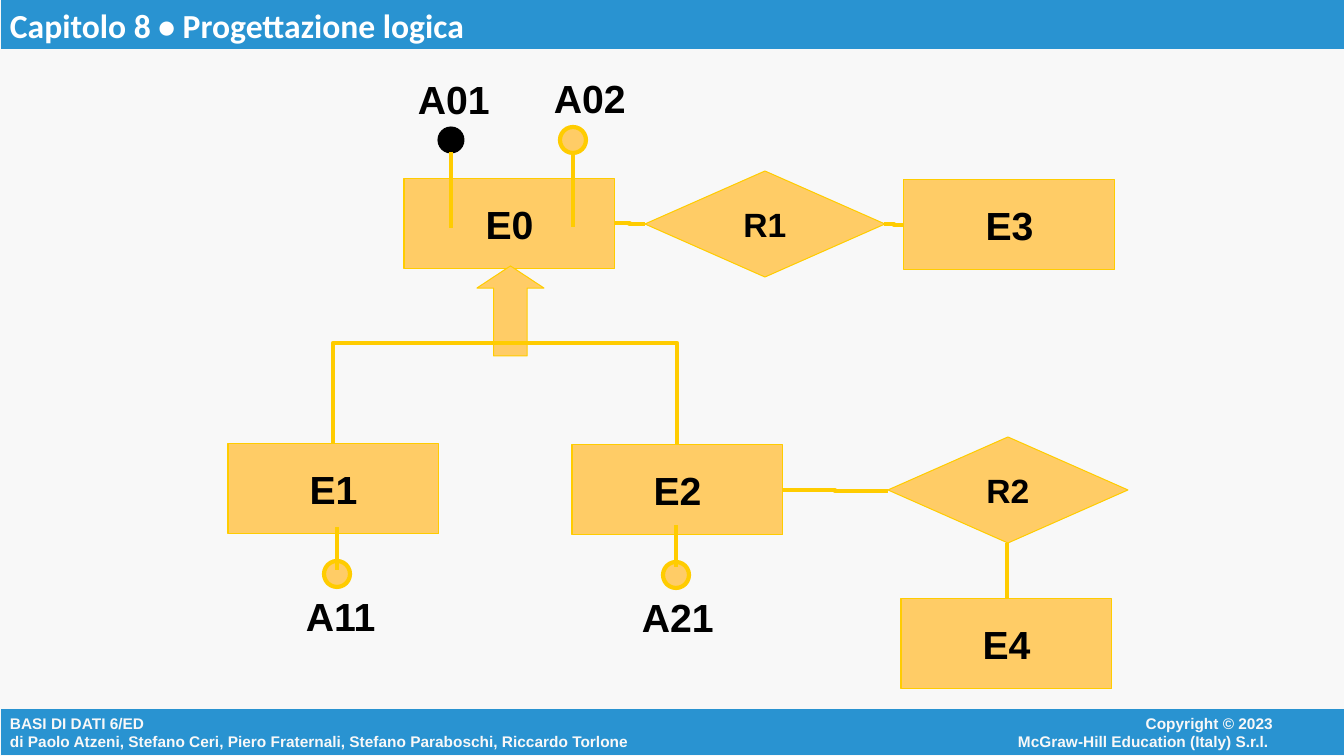
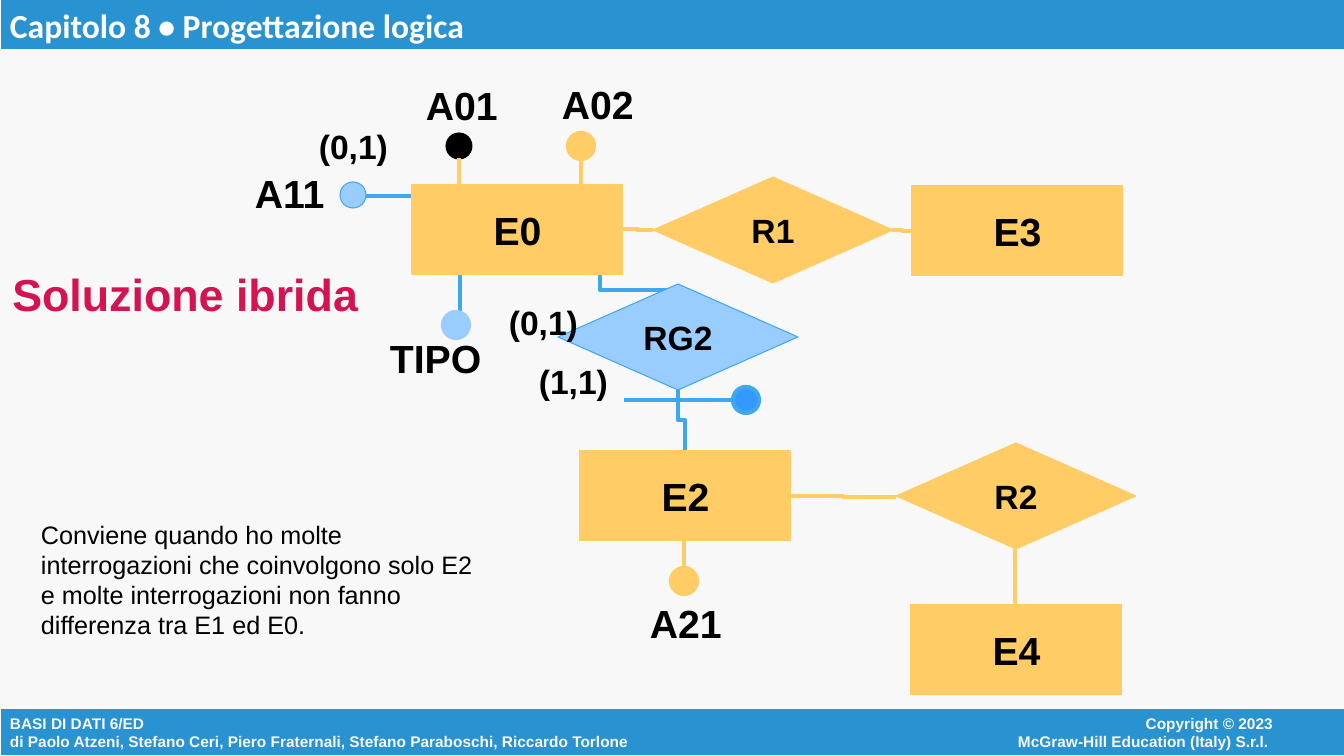
import pptx
import pptx.dml.color
import pptx.enum.shapes
import pptx.enum.text
import pptx.oxml.ns
import pptx.util
from lxml import etree

RGB = pptx.dml.color.RGBColor
SHAPE = pptx.enum.shapes.MSO_SHAPE
CONNECTOR = pptx.enum.shapes.MSO_CONNECTOR
ALIGN = pptx.enum.text.PP_ALIGN
ANCHOR = pptx.enum.text.MSO_ANCHOR

PX = 9071  # EMU in one px; the slide is 1344 px wide
BAND = RGB(0x29, 0x93, 0xD1)
PALE = RGB(0xF8, 0xF8, 0xF8)
WHITE = RGB(0xFF, 0xFF, 0xFF)
BLACK = RGB(0, 0, 0)
ORANGE = RGB(0xFF, 0xCC, 0x66)
YELLOW = RGB(0xFF, 0xCC, 0x00)
SKY = RGB(0x99, 0xCC, 0xFF)
BLUE = RGB(0x3E, 0xA7, 0xEE)
DEEP_BLUE = RGB(0x33, 0x99, 0xFF)
CRIMSON = RGB(0xD4, 0x14, 0x50)


def write(sp, text, size=28, color=BLACK, bold=True, font="Arial",
          align=ALIGN.LEFT, anchor=ANCHOR.TOP, wrap=False):
    tf = sp.text_frame
    tf.word_wrap = wrap
    tf.auto_size = pptx.enum.text.MSO_AUTO_SIZE.NONE
    tf.vertical_anchor = anchor
    for i, part in enumerate(text.split("\n")):
        p = tf.paragraphs[0] if i == 0 else tf.add_paragraph()
        p.alignment = align
        r = p.add_run()
        r.text = part
        r.font.name, r.font.size = font, pptx.util.Pt(size)
        r.font.bold, r.font.color.rgb = bold, color


def connect(s, kind, x1, y1, x2, y2, color, bend=None):
    """Draw a line; with bend, an elbow that leaves downwards and turns bend px below its start."""
    c = s.shapes.add_connector(kind, x1 * PX, y1 * PX, x2 * PX, y2 * PX)
    c.line.color.rgb = color
    c.line.width = pptx.util.Pt(3)
    sp_pr = c.element.spPr
    etree.SubElement(sp_pr, pptx.oxml.ns.qn("a:effectLst"))
    if bend is not None:
        w, h = y2 - y1, x2 - x1
        c.left, c.top = int((x1 + x2 - w) * PX / 2), int((y1 + y2 - h) * PX / 2)
        c.width, c.height = w * PX, h * PX
        xfrm = sp_pr.find(pptx.oxml.ns.qn("a:xfrm"))
        xfrm.set("rot", "16200000")
        xfrm.set("flipH", "1")
        guides = sp_pr.find(pptx.oxml.ns.qn("a:prstGeom")).get_or_add_avLst()
        etree.SubElement(guides, pptx.oxml.ns.qn("a:gd"), name="adj1",
                         fmla=f"val {round(bend / w * 100000)}")


prs = pptx.Presentation()
prs.slide_width, prs.slide_height = pptx.util.Inches(13.333), pptx.util.Inches(7.5)
s1 = prs.slides.add_slide(prs.slide_layouts[6])
s2 = prs.slides.add_slide(prs.slide_layouts[5])

# Background and bands, drawn once and moved to the master
master = prs.slide_master
master.background.fill.solid()
master.background.fill.fore_color.rgb = PALE
footer_style = dict(size=11, color=PALE)
bands = [
    (0, 709, 1346, 47, BAND, 0.75,
     "BASI DI DATI 6/ED\ndi Paolo Atzeni, Stefano Ceri, Piero Fraternali, "
     "Stefano Paraboschi, Riccardo Torlone", dict(footer_style, anchor=ANCHOR.MIDDLE)),
    (896, 709, 387, 46, None, 0,
     "Copyright © 2023\nMcGraw-Hill Education (Italy) S.r.l. ",
     dict(footer_style, align=ALIGN.RIGHT, wrap=True)),
    (0, 0, 1346, 50, BAND, 0, "Capitolo 8 • Progettazione logica",
     dict(size=24, color=WHITE, font="Calibri", wrap=True)),
]
for i, (x, y, w, h, fill, border, text, style) in enumerate(bands):
    box = [v * PX for v in (x, y, w, h)]
    if fill is None:
        sp = s1.shapes.add_textbox(*box)
    else:
        sp = s1.shapes.add_shape(SHAPE.RECTANGLE, *box)
        sp.shadow.inherit = False
        sp.fill.solid()
        sp.fill.fore_color.rgb = fill
        sp.line.color.rgb = PALE
        sp.line.width = pptx.util.Pt(border)
    write(sp, text, **style)
    sp.element.nvSpPr.cNvPr.set("id", str(100 + i))
    master.shapes.element.append(sp.element)

# Title of the second slide
title = s2.shapes.title
title.left, title.top, title.width, title.height = [v * PX for v in (-24, 274, 419, 39)]
write(title, "Soluzione ibrida", size=32, color=CRIMSON, align=ALIGN.CENTER, anchor=ANCHOR.MIDDLE)

# Kinds of node: shape, width, height, text size
KINDS = {
    "entity": (SHAPE.RECTANGLE, 211, 90, 28),
    "relation": (SHAPE.DIAMOND, 240, 106, 24),
    "dot": (SHAPE.OVAL, 26, 26, 0),
    "arrow": (SHAPE.UP_ARROW, 67, 90, 0),
}

# Parts that both diagrams have: nodes, lines, labels
COMMON_NODES = [
    ("entity", 404, 179, "E0"), ("relation", 645, 171, "R1"), ("entity", 904, 180, "E3"),
    ("entity", 572, 445, "E2"), ("relation", 888, 437, "R2"),
    ("dot", 560, 127, ""), ("dot", 663, 562, ""),
]
COMMON_LINES = [
    (CONNECTOR.STRAIGHT, 451, 152, 451, 228),
    (CONNECTOR.STRAIGHT, 573, 151, 573, 227),
    (CONNECTOR.STRAIGHT, 676, 525, 676, 567),
    (CONNECTOR.STRAIGHT, 1007, 543, 1007, 599),
    (CONNECTOR.ELBOW, 614, 223, 645, 224),
    (CONNECTOR.ELBOW, 884, 224, 904, 225),
    (CONNECTOR.ELBOW, 782, 490, 888, 491),
]
COMMON_LABELS = [("A01", 408, 70), ("A02", 544, 69), ("A21", 632, 588)]

# Parts of one diagram only
own_nodes_1 = [
    ("entity", 228, 444, "E1", ORANGE, YELLOW, 0.75),
    ("entity", 901, 599, "E4", ORANGE, YELLOW, 0.75),
    ("arrow", 477, 266, "", ORANGE, YELLOW, 0.75),
    ("dot", 324, 561, "", ORANGE, YELLOW, 3),
]
own_nodes_2 = [
    ("entity", 911, 605, "E4", ORANGE, ORANGE, 0.75),
    ("relation", 558, 284, "RG2", SKY, BLUE, 0.75),
    ("dot", 733, 387, "", DEEP_BLUE, BLUE, 3),
    ("dot", 340, 182, "", SKY, BLUE, 0.75),
    ("dot", 443, 312, "", SKY, SKY, 3),
]
own_labels_1 = [("A11", 296, 587, 28)]
own_labels_2 = [
    ("A11", 245, 164, 28), ("TIPO", 380, 329, 28),
    ("(1,1)", 529, 356, 24), ("(0,1)", 499, 297, 24), ("(0,1)", 309, 121, 24),
]

# Blue lines of the hybrid solution, behind its nodes
for kind, *ends in [
    (CONNECTOR.ELBOW, 523, 273, 677, 290),
    (CONNECTOR.STRAIGHT, 354, 196, 420, 196),
    (CONNECTOR.STRAIGHT, 460, 242, 460, 318),
    (CONNECTOR.STRAIGHT, 624, 400, 742, 400),
]:
    connect(s2, kind, *ends, BLUE)
connect(s2, CONNECTOR.ELBOW, 678, 390, 685, 451, BLUE, bend=30)

# Both diagrams: nodes, then lines, then labels
for s, dx, dy, border, own_nodes, own_labels in [
    (s1, 0, 0, YELLOW, own_nodes_1, own_labels_1),
    (s2, 8, 6, ORANGE, own_nodes_2, own_labels_2),
]:
    nodes = [(kind, x + dx, y + dy, text, ORANGE, border, 3 if kind == "dot" else 0.75)
             for kind, x, y, text in COMMON_NODES]
    nodes.append(("dot", 438 + dx, 127 + dy, "", BLACK, BLACK, 0.75))
    for kind, x, y, text, fill, edge, width in nodes + own_nodes:
        preset, w, h, size = KINDS[kind]
        sp = s.shapes.add_shape(preset, x * PX, y * PX, w * PX, h * PX)
        sp.shadow.inherit = False
        sp.fill.solid()
        sp.fill.fore_color.rgb = fill
        sp.line.color.rgb = edge
        sp.line.width = pptx.util.Pt(width)
        if kind == "arrow":
            sp.adjustments[1] = 0.33
        if text:
            write(sp, text, size=size, align=ALIGN.CENTER, anchor=ANCHOR.MIDDLE)

    for kind, x1, y1, x2, y2 in COMMON_LINES:
        connect(s, kind, x1 + dx, y1 + dy, x2 + dx, y2 + dy, border)

    labels = [(text, x + dx, y + dy, 28) for text, x, y in COMMON_LABELS]
    for text, x, y, size in labels + own_labels:
        w = 111 if text == "TIPO" else 90
        write(s.shapes.add_textbox(x * PX, y * PX, w * PX, 2 * size * PX), text, size=size)

# Lines of the generalization
connect(s1, CONNECTOR.STRAIGHT, 337, 527, 337, 570, YELLOW)
connect(s1, CONNECTOR.ELBOW, 333, 444, 677, 445, YELLOW, bend=-102)

# Remark on the hybrid solution
remark = s2.shapes.add_textbox(31 * PX, 514 * PX, 452 * PX, 146 * PX)
write(remark, "Conviene quando ho molte interrogazioni che coinvolgono solo E2 e molte "
      "interrogazioni non fanno differenza tra E1 ed E0.", size=18, bold=False, wrap=True)

prs.save("out.pptx")
